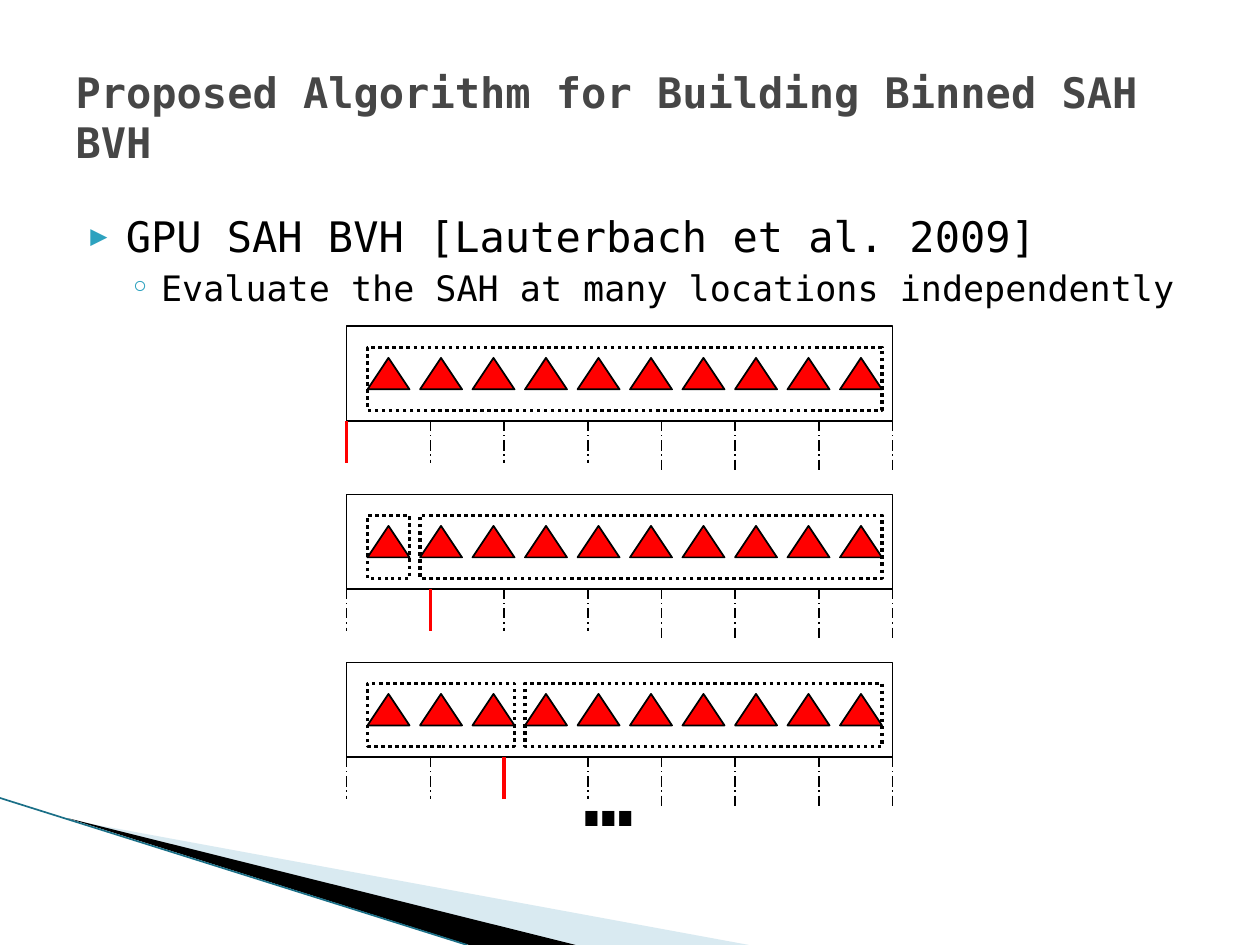
from dataclasses import dataclass

from lxml import etree
from pptx import Presentation
from pptx.dml.color import RGBColor
from pptx.enum import dml, shapes, text
from pptx.oxml import ns
from pptx.util import Pt

FONT = "DejaVu Sans Mono"
BLACK, RED, GREY = "000000", "FF0000", "464646"
TEAL, PALE_BLUE, DARK_TEAL = "2DA2BF", "A0CBDC", "1A6F87"

# Lengths in points
ROW_X, ROW_Y, ROW_W, ROW_H, ROW_PITCH = 198, 186.5, 312, 54, 96
TRI_X, TRI_W, TRI_H, TRI_PITCH, TRI_COUNT = 210, 24, 18, 30, 10
SPLIT_XS = (198, 246, 288, 336, 378, 420, 468, 510)
SHORT_SPLITS = 4


@dataclass
class Row:
    split: int                      # index of the split being evaluated
    groups: list[tuple[int, int]]   # first and last triangle of each box


@dataclass
class Bullet:
    text: str
    size: float
    level: int
    margin: float
    indent: float
    before: float
    char: str
    percent: int


ROWS = [
    Row(0, [(0, 9)]),
    Row(1, [(0, 0), (1, 9)]),
    Row(2, [(0, 2), (3, 9)]),
]
BULLETS = [
    Bullet("GPU SAH BVH [Lauterbach et al. 2009]", 24, 0, 28.8, -20.2, 4, "▶", 68),
    Bullet("Evaluate the SAH at many locations independently",
           20, 1, 49, -18, 3.2, "◦", 100),
]


def rgb(value: str) -> RGBColor:
    return RGBColor.from_string(value)


def add_xml(parent, tag: str, **attrs: str):
    return etree.SubElement(parent, ns.qn(tag), attrs)


def style_runs(p, size: float, color: str, bold: bool = False) -> None:
    for r in p.runs:
        r.font.name = FONT
        r.font.size = Pt(size)
        r.font.bold = bold
        r.font.color.rgb = rgb(color)


def add_box(s, kind, x: float, y: float, w: float, h: float,
            fill: str | None = None, width: float = 1, dash=None) -> None:
    sp = s.shapes.add_shape(kind, Pt(x), Pt(y), Pt(w), Pt(h))
    sp.shadow.inherit = False
    if fill:
        sp.fill.solid()
        sp.fill.fore_color.rgb = rgb(fill)
    else:
        sp.fill.background()
    sp.line.color.rgb = rgb(BLACK)
    sp.line.width = Pt(width)
    if dash:
        sp.line.dash_style = dash


def add_line(s, x1: float, y1: float, x2: float, y2: float,
             color: str, width: float, dash=None) -> None:
    line = s.shapes.add_connector(shapes.MSO_CONNECTOR.STRAIGHT,
                                  Pt(x1), Pt(y1), Pt(x2), Pt(y2))
    line.line.color.rgb = rgb(color)
    line.line.width = Pt(width)
    if dash:
        line.line.dash_style = dash
    add_xml(line._element.spPr, "a:effectLst")


def add_wedge(s, points: list[tuple[float, float]], color: str,
              opacity: int = 100) -> None:
    start, *rest = [(Pt(x), Pt(y)) for x, y in points]
    builder = s.shapes.build_freeform(*start)
    builder.add_line_segments(rest, close=True)
    sp = builder.convert_to_shape()
    sp.shadow.inherit = False
    sp.fill.solid()
    sp.fill.fore_color.rgb = rgb(color)
    sp.line.fill.background()
    if opacity < 100:
        clr = sp._element.spPr.find(".//" + ns.qn("a:srgbClr"))
        add_xml(clr, "a:alpha", val=str(opacity * 1000))


def add_text(s, x: float, y: float, w: float, h: float):
    tf = s.shapes.add_textbox(Pt(x), Pt(y), Pt(w), Pt(h)).text_frame
    tf.word_wrap = True
    return tf


def add_bullet(p, b: Bullet) -> None:
    p.text = b.text
    p.level = b.level
    p.space_before = Pt(b.before)
    style_runs(p, b.size, BLACK)
    pPr = p._p.get_or_add_pPr()
    pPr.set("marL", str(Pt(b.margin)))
    pPr.set("indent", str(Pt(b.indent)))
    add_xml(add_xml(pPr, "a:buClr"), "a:srgbClr", val=TEAL)
    add_xml(pPr, "a:buSzPct", val=str(b.percent * 1000))
    add_xml(pPr, "a:buFont", typeface=FONT)
    add_xml(pPr, "a:buChar", char=b.char)


def add_row(s, row: Row, y: float) -> None:
    rect = shapes.MSO_SHAPE.RECTANGLE
    add_box(s, rect, ROW_X, y, ROW_W, ROW_H)
    for i in range(TRI_COUNT):
        add_box(s, shapes.MSO_SHAPE.ISOSCELES_TRIANGLE,
                TRI_X + i * TRI_PITCH, y + 18, TRI_W, TRI_H, RED)
    # Bounding boxes on either side of the split
    for first, last in row.groups:
        add_box(s, rect, TRI_X + first * TRI_PITCH, y + 12,
                (last - first) * TRI_PITCH + TRI_W, 36,
                width=2, dash=dml.MSO_LINE.ROUND_DOT)
    # Candidate splits, the current one in red
    bottom = y + ROW_H
    for i, x in enumerate(SPLIT_XS):
        end = bottom + (24 if i < SHORT_SPLITS else 30)
        if i == row.split:
            add_line(s, x, bottom, x, end, RED, 2)
        else:
            add_line(s, x, bottom, x, end, BLACK, 0.75,
                     dml.MSO_LINE.LONG_DASH_DOT)


def main() -> None:
    prs = Presentation()
    prs.slide_width, prs.slide_height = Pt(720), Pt(540)
    s = prs.slides.add_slide(prs.slide_layouts[5])

    # Corner decoration
    add_wedge(s, [(39.5, 468.5), (428, 540), (328, 540)], PALE_BLUE, 40)
    add_wedge(s, [(38.5, 467.5), (329, 540), (268, 540)], BLACK)
    add_line(s, 0, 456, 267, 540, DARK_TEAL, 0.95)

    # Title
    title = s.shapes.title
    title.left, title.top, title.width, title.height = Pt(36), Pt(21.6), Pt(648), Pt(90)
    tf = title.text_frame
    tf.text = "Proposed Algorithm for Building Binned SAH BVH"
    tf.auto_size = text.MSO_AUTO_SIZE.NONE
    tf.vertical_anchor = text.MSO_ANCHOR.MIDDLE
    tf.paragraphs[0].alignment = text.PP_ALIGN.LEFT
    style_runs(tf.paragraphs[0], 24, GREY, bold=True)

    # Bullets
    tf = add_text(s, 36, 116.6, 648, 356.4)
    for i, b in enumerate(BULLETS):
        add_bullet(tf.add_paragraph() if i else tf.paragraphs[0], b)

    # Split evaluation rows
    for i, row in enumerate(ROWS):
        add_row(s, row, ROW_Y + i * ROW_PITCH)

    # Continuation mark
    p = add_text(s, 258, 420.5, 180, 65.5).paragraphs[0]
    p.text = "…"
    p.alignment = text.PP_ALIGN.CENTER
    style_runs(p, 48, BLACK, bold=True)

    prs.save("out.pptx")


if __name__ == "__main__":
    main()
